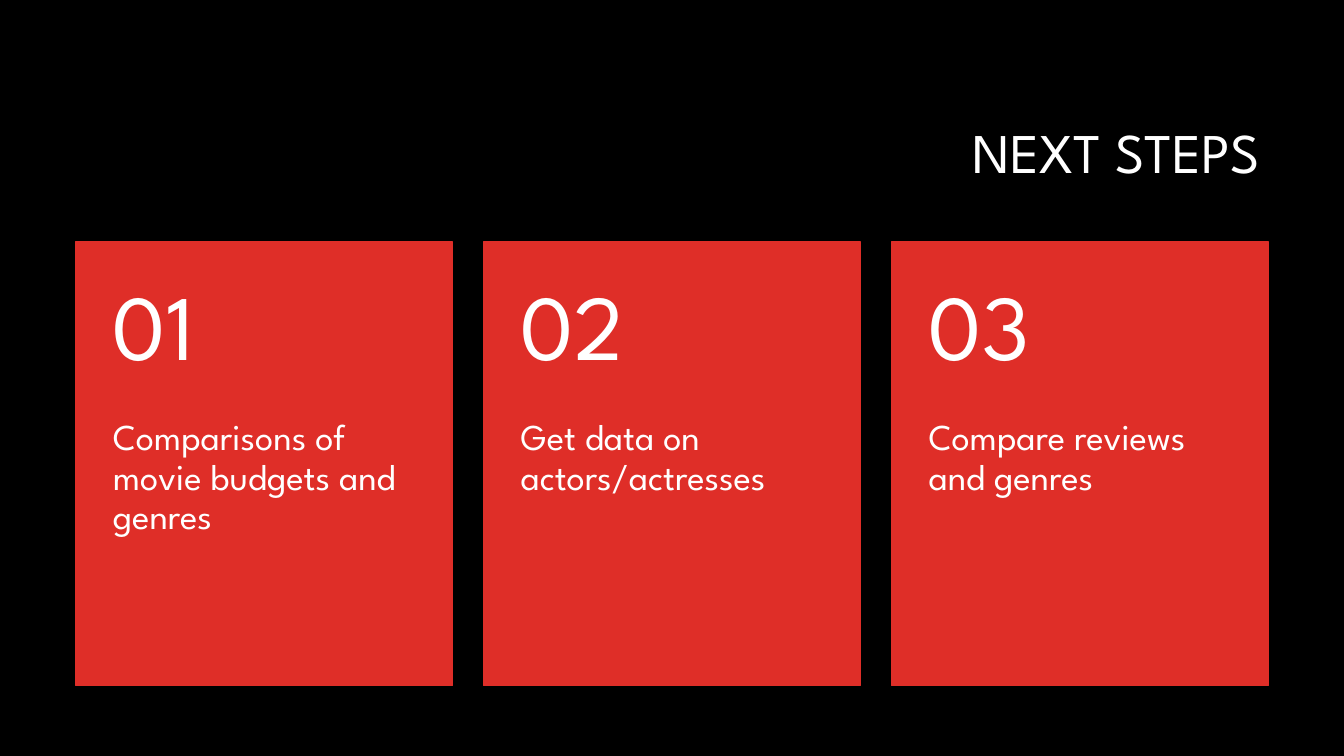
from dataclasses import dataclass

from pptx import Presentation
from pptx import util as u
from pptx.dml.color import RGBColor
from pptx.enum import shapes, text


@dataclass(frozen=True)
class Theme:
    font: str = "League Spartan"
    background: RGBColor = RGBColor(0, 0, 0)
    card: RGBColor = RGBColor(0xDF, 0x2E, 0x28)
    ink: RGBColor = RGBColor(255, 255, 255)
    title_size: int = 40
    number_size: int = 66
    body_size: int = 26


class StepsPage:
    """Draw titled step cards on a three-column grid."""

    width, height = 13.33, 7.5
    margin, column_width, columns = 0.75, 3.74, 3
    card_top, body_top, card_bottom = 0.32, 0.555, 0.907

    def __init__(self, deck, theme):
        self.theme = theme
        deck.slide_width, deck.slide_height = u.Inches(self.width), u.Inches(self.height)
        self.page = deck.slides.add_slide(deck.slide_layouts[6])
        fill = self.page.background.fill
        fill.solid()
        fill.fore_color.rgb = theme.background

    def area(self, left, top, width, bottom):
        return [u.Inches(value) for value in
                (left, top * self.height, width, (bottom - top) * self.height)]

    def column_left(self, column):
        free = self.width - 2 * self.margin - self.columns * self.column_width
        return self.margin + column * (self.column_width + free / (self.columns - 1))

    def label(self, words, area, size, insets,
              anchor=text.MSO_ANCHOR.MIDDLE, align=text.PP_ALIGN.LEFT):
        box = self.page.shapes.add_textbox(*area)
        frame = box.text_frame
        para = frame.paragraphs[0]
        span = para.add_run()
        span.text = words
        side, top, bottom = map(u.Inches, insets)
        formats = (
            (frame, {"word_wrap": True, "vertical_anchor": anchor,
                     "margin_left": side, "margin_right": side,
                     "margin_top": top, "margin_bottom": bottom}),
            (para, {"alignment": align, "line_spacing": 0.9}),
            (span.font, {"name": self.theme.font, "size": u.Pt(size)}),
            (span.font.color, {"rgb": self.theme.ink}),
        )
        for target, values in formats:
            for name, value in values.items():
                setattr(target, name, value)

    def title(self, words):
        self.label(words, self.area(3.17, 0.112, 9.42, 0.3), self.theme.title_size,
                   (0.1, 0.05, 0.05), align=text.PP_ALIGN.RIGHT)

    def panel(self, area):
        box = self.page.shapes.add_shape(shapes.MSO_SHAPE.RECTANGLE, *area)
        box.shadow.inherit = False
        box.fill.solid()
        box.fill.fore_color.rgb = self.theme.card
        box.line.color.rgb = self.theme.card
        box.line.width = u.Pt(1)

    def card(self, column, words):
        left, width = self.column_left(column), self.column_width
        self.panel(self.area(left, self.card_top, width, self.card_bottom))
        self.label(words, self.area(left, self.body_top, width, self.card_bottom),
                   self.theme.body_size, (0.37, 0, 0.36), text.MSO_ANCHOR.TOP)
        self.label(f"{column + 1:02}", self.area(left, self.card_top, width, self.body_top),
                   self.theme.number_size, (0.37, 0.18, 0.18))


def main():
    deck = Presentation()
    steps_page = StepsPage(deck, Theme())
    steps_page.title("NEXT STEPS")
    steps = (
        "Comparisons of movie budgets and genres",
        "Get data on actors/actresses",
        "Compare reviews and genres",
    )
    for column, words in enumerate(steps):
        steps_page.card(column, words)
    deck.save("out.pptx")


if __name__ == "__main__":
    main()
